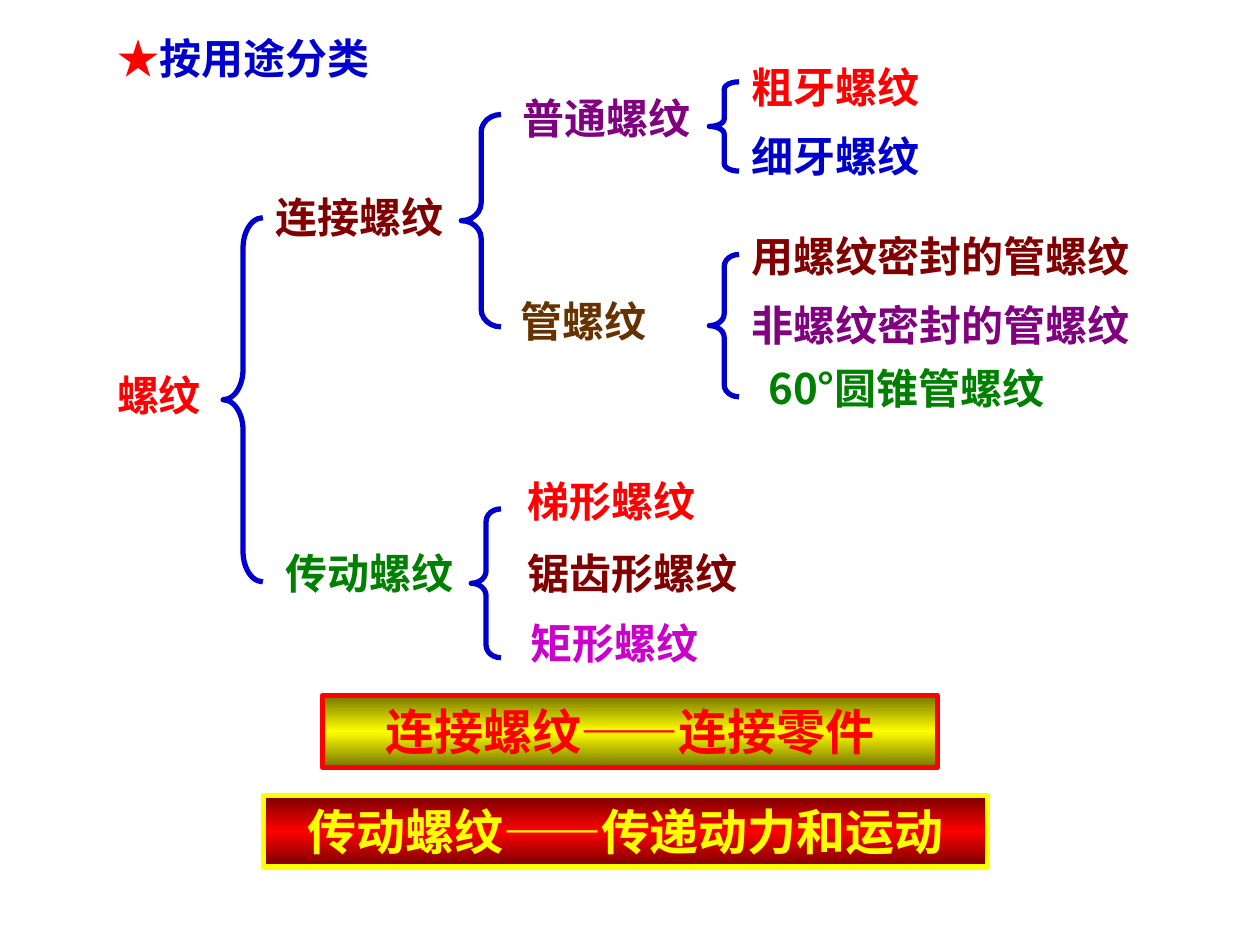
import copy
from dataclasses import dataclass

import pptx
import pptx.dml.color
import pptx.enum.shapes
import pptx.enum.text
import pptx.oxml
import pptx.oxml.ns
import pptx.util

Cm = pptx.util.Cm
Pt = pptx.util.Pt


@dataclass(frozen=True)
class Theme:
    """Colours, fonts and sizes of the slide."""
    red: str = "FF0000"
    blue: str = "0000CC"
    maroon: str = "800000"
    green: str = "008000"
    purple: str = "800080"
    brown: str = "663300"
    magenta: str = "CC00CC"
    yellow: str = "FFFF00"
    dark_yellow: str = "757500"
    dark_red: str = "750000"
    font: str = "Noto Sans CJK SC"
    title_font: str = "Times New Roman"
    label_size: int = 24
    banner_size: int = 28
    line_width: int = 3
    label_height: float = 1.27
    banner_height: float = 1.45


THEME = Theme()

LABELS = [
    ("螺纹", 2.11, 7.32, 3, THEME.red),
    ("连接螺纹", 5.31, 3.73, 4.9, THEME.maroon),
    ("传动螺纹", 5.51, 10.92, 5.13, THEME.green),
    ("普通螺纹", 10.29, 1.73, 4.09, THEME.purple),
    ("管螺纹", 10.24, 5.84, 3.23, THEME.brown),
    ("粗牙螺纹", 14.91, 1.12, 5, THEME.red),
    ("细牙螺纹", 14.91, 2.51, 4.8, THEME.blue),
    ("用螺纹密封的管螺纹", 14.91, 4.52, 9.19, THEME.maroon),
    ("非螺纹密封的管螺纹", 14.91, 5.92, 9.4, THEME.purple),
    ("60°圆锥管螺纹", 15.24, 7.19, 6.65, THEME.green),
    ("梯形螺纹", 10.39, 9.45, 4.78, THEME.red),
    ("锯齿形螺纹", 10.39, 10.92, 6.5, THEME.maroon),
    ("矩形螺纹", 10.44, 12.32, 7.67, THEME.magenta),
]

BRACES = [
    (4.5, 4.39, 0.8, 7.34),
    (9.3, 2.31, 0.8, 4.28),
    (14.3, 1.65, 0.6, 1.8),
    (14.3, 5.13, 0.6, 2.87),
    (9.5, 10.26, 0.6, 3),
]

BANNERS = [
    ("连接螺纹——连接零件", 6.5, 14.02, 12.4,
     THEME.dark_yellow, THEME.yellow, THEME.red),
    ("传动螺纹——传递动力和运动", 5.31, 16.03, 14.6,
     THEME.dark_red, THEME.red, THEME.yellow),
]


def rgb(colour):
    """Return the colour object for a hex string."""
    return pptx.dml.color.RGBColor.from_string(colour)


def format_run(run, size, colour, latin=THEME.font):
    """Set the bold type of a run for Latin and East Asian text."""
    run.font.size = Pt(size)
    run.font.bold = True
    run.font.color.rgb = rgb(colour)
    run.font.name = latin
    east_asian = pptx.oxml.parse_xml(
        f'<a:ea {pptx.oxml.ns.nsdecls("a")} typeface="{THEME.font}"/>')
    run.font._element.find(pptx.oxml.ns.qn("a:latin")).addnext(east_asian)


def format_frame(frame, alignment):
    """Centre the text vertically and align its paragraph."""
    frame.word_wrap = True
    frame.auto_size = pptx.enum.text.MSO_AUTO_SIZE.NONE
    frame.vertical_anchor = pptx.enum.text.MSO_ANCHOR.MIDDLE
    frame.paragraphs[0].alignment = alignment


def add_title(slide):
    """Place the title with its red star."""
    title = slide.shapes.title
    title.left, title.top = Cm(2.11), Cm(0.53)
    title.width, title.height = Cm(7.01), Cm(THEME.label_height)
    format_frame(title.text_frame, pptx.enum.text.PP_ALIGN.LEFT)
    for text, colour in (("★", THEME.red), ("按用途分类", THEME.blue)):
        run = title.text_frame.paragraphs[0].add_run()
        run.text = text
        format_run(run, THEME.label_size, colour, THEME.title_font)


def add_label(slide, text, left, top, width, colour):
    """Add one thread name of the tree."""
    label = slide.shapes.add_textbox(
        Cm(left), Cm(top), Cm(width), Cm(THEME.label_height))
    label.text_frame.text = text
    format_frame(label.text_frame, pptx.enum.text.PP_ALIGN.LEFT)
    format_run(label.text_frame.paragraphs[0].runs[0], THEME.label_size, colour)


def add_outlined(slide, kind, left, top, width, height, colour):
    """Add a preset shape with a coloured outline and no shadow."""
    shape = slide.shapes.add_shape(
        kind, Cm(left), Cm(top), Cm(width), Cm(height))
    shape.shadow.inherit = False
    shape.line.color.rgb = rgb(colour)
    shape.line.width = Pt(THEME.line_width)
    return shape


def add_brace(slide, left, top, width, height):
    """Add a brace whose curves are a twelfth of its height."""
    brace = add_outlined(slide, pptx.enum.shapes.MSO_SHAPE.LEFT_BRACE,
                         left, top, width, height, THEME.blue)
    brace.fill.background()
    brace.adjustments[0] = height / 12 / width


def add_banner(slide, text, left, top, width, edge, middle, accent):
    """Add a summary bar with a gradient that is mirrored top to bottom."""
    banner = add_outlined(slide, pptx.enum.shapes.MSO_SHAPE.RECTANGLE,
                          left, top, width, THEME.banner_height, accent)
    banner.fill.gradient()
    banner.fill.gradient_angle = 90
    last_stop = banner._element.xpath(".//a:gs")[-1]
    last_stop.addnext(copy.deepcopy(last_stop))
    stops = zip(banner.fill.gradient_stops, (0, 0.5, 1), (edge, middle, edge))
    for stop, position, colour in stops:
        stop.position = position
        stop.color.rgb = rgb(colour)
    banner.text_frame.text = text
    format_frame(banner.text_frame, pptx.enum.text.PP_ALIGN.CENTER)
    format_run(banner.text_frame.paragraphs[0].runs[0],
               THEME.banner_size, accent)


def main():
    """Build the slide on thread types and save it."""
    deck = pptx.Presentation()
    deck.slide_width, deck.slide_height = Cm(25.4), Cm(19.05)
    slide = deck.slides.add_slide(deck.slide_layouts[5])
    add_title(slide)
    for label in LABELS:
        add_label(slide, *label)
    for brace in BRACES:
        add_brace(slide, *brace)
    for banner in BANNERS:
        add_banner(slide, *banner)
    deck.save("out.pptx")


if __name__ == "__main__":
    main()
